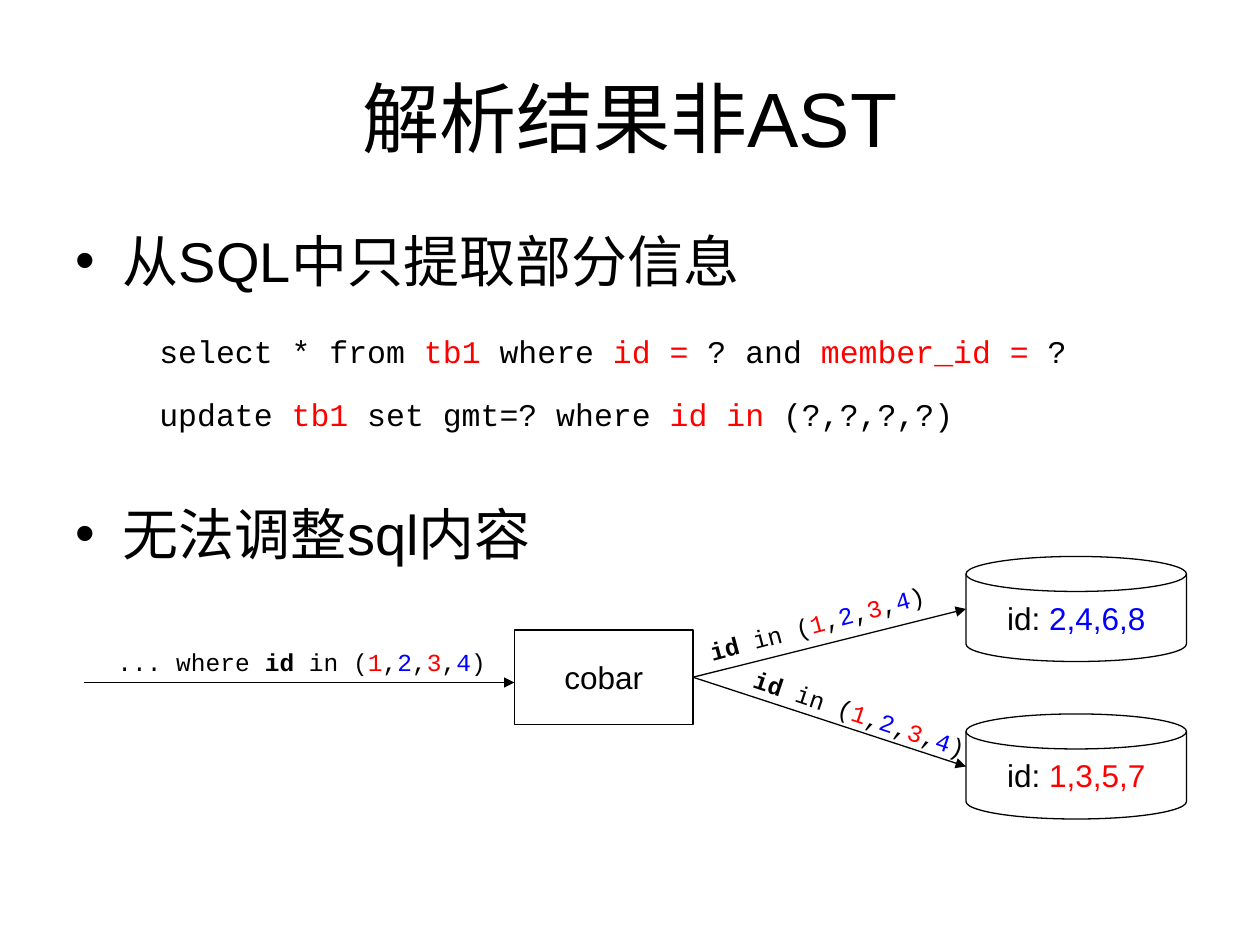
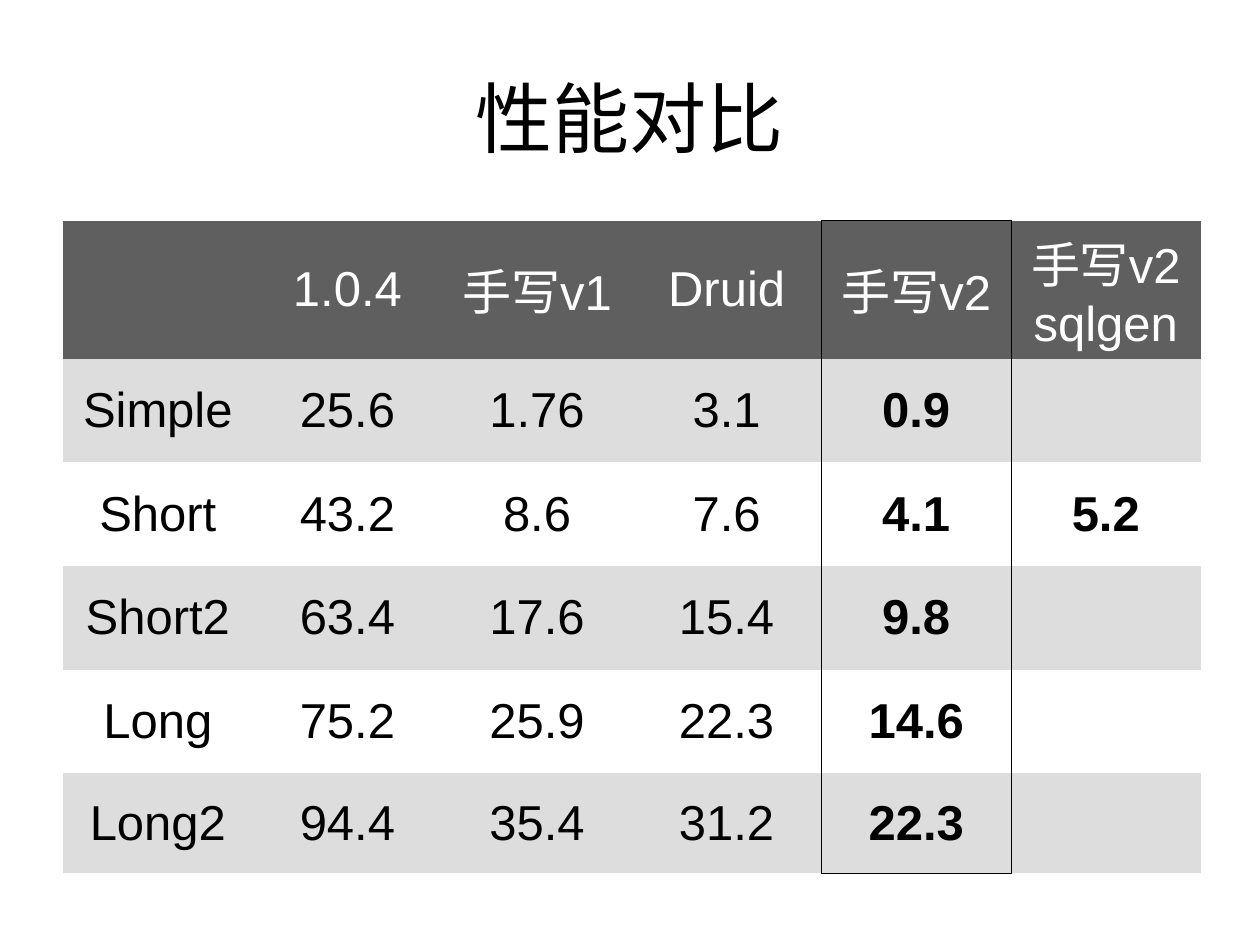
import pptx
import pptx.dml.color
import pptx.enum.shapes
import pptx.enum.text
import pptx.oxml
import pptx.oxml.ns
import pptx.util

COLOURS = {"ink": "000000", "odd": "FF0000", "even": "0000FF",
           "paper": "FFFFFF", "header": "5F5F5F", "band": "DDDDDD"}
SANS, MONO = "Arial", "Courier New"
NAMESPACE = pptx.oxml.ns.nsdecls("a")
SHAPES = pptx.enum.shapes.MSO_SHAPE
FIT = pptx.enum.text.MSO_AUTO_SIZE
MIDDLE = pptx.enum.text.MSO_ANCHOR.MIDDLE
CENTER = pptx.enum.text.PP_ALIGN.CENTER
INK = pptx.dml.color.RGBColor.from_string(COLOURS["ink"])


def grid(*cells):
    """Turn steps of a 120 x 90 slide grid into lengths."""
    return [pptx.util.Pt(6 * cell) for cell in cells]


def write(paragraph, runs, size, font=SANS):
    """Add runs given as (text, colour name, optional bold)."""
    for text, colour, *bold in runs:
        run = paragraph.add_run()
        run.text = text
        run.font.name = font
        run.font.size = pptx.util.Pt(size)
        run.font.bold = bool(bold and bold[0])
        run.font.color.rgb = pptx.dml.color.RGBColor.from_string(COLOURS[colour])


deck = pptx.Presentation()
deck.slide_width, deck.slide_height = grid(120, 90)
TWO_CONTENT, TITLE_ONLY = deck.slide_layouts[3], deck.slide_layouts[5]
parsing = deck.slides.add_slide(TWO_CONTENT)
performance = deck.slides.add_slide(TITLE_ONLY)

for slide, heading in [(parsing, "解析结果非AST"), (performance, "性能对比")]:
    title = slide.shapes.title
    title.left, title.top, title.width, title.height = grid(6, 3.6, 108, 15)
    title.text_frame.auto_size = FIT.NONE
    title.text_frame.vertical_anchor = MIDDLE
    title.text_frame.paragraphs[0].alignment = CENTER
    write(title.text_frame.paragraphs[0], [(heading, "ink")], 44)

# Slide 1: bullet points
for index, top, point in [(1, 21, "从SQL中只提取部分信息"), (2, 47, "无法调整sql内容")]:
    bullet = parsing.placeholders[index]
    bullet.left, bullet.top, bullet.width, bullet.height = grid(6, top, 108, 9)
    bullet.text_frame.auto_size = FIT.NONE
    bullet.text_frame.paragraphs[0].space_before = pptx.util.Pt(0)
    write(bullet.text_frame.paragraphs[0], [(point, "ink")], 32)

# Slide 1: database shards and router
nodes = [
    (SHAPES.FLOWCHART_MAGNETIC_DISK, (92, 53, 21, 10), [("id: ", "ink"), ("2,4,6,8", "even")]),
    (SHAPES.FLOWCHART_MAGNETIC_DISK, (92, 68, 21, 10), [("id: ", "ink"), ("1,3,5,7", "odd")]),
    (SHAPES.RECTANGLE, (49, 60, 17, 9), [("cobar", "ink")]),
]
for preset, place, label in nodes:
    node = parsing.shapes.add_shape(preset, *grid(*place))
    node.shadow.inherit = False
    node.fill.background()
    node.line.color.rgb = INK
    node.line.width = pptx.util.Pt(0.75)
    node.text_frame.word_wrap = False
    node.text_frame.vertical_anchor = MIDDLE
    node.text_frame.paragraphs[0].alignment = CENTER
    write(node.text_frame.paragraphs[0], label, 18)
router = node

# Slide 1: statements and the conditions that travel along the arrows
select = [("select * from ", "ink"), ("tb1", "odd"), (" where ", "ink"), ("id =", "odd"),
          (" ? and ", "ink"), ("member_id =", "odd"), (" ?", "ink")]
update = [("update ", "ink"), ("tb1", "odd"), (" set gmt=? where ", "ink"),
          ("id in ", "odd"), ("(?,?,?,?)", "ink")]
condition = [("id", "ink", True), (" in (", "ink")]
for number in range(1, 5):
    condition += [(str(number), "odd" if number % 2 else "even"),
                  ("," if number < 4 else ")", "ink")]
code_lines = [
    ((14, 31, 95, 4.8), 0, 18, select),
    ((14, 37, 95, 4.8), 0, 18, update),
    ((10, 61, 41, 4.05), 0, 14, [("... where ", "ink")] + condition),
    ((66, 56.5, 30, 4.05), -15, 14, condition),
    ((70, 67, 30, 4.05), 18.5, 14, condition),
]
for place, angle, size, runs in code_lines:
    code = parsing.shapes.add_textbox(*grid(*place))
    code.rotation = angle
    code.text_frame.word_wrap = True
    code.text_frame.auto_size = FIT.SHAPE_TO_FIT_TEXT
    write(code.text_frame.paragraphs[0], runs, size, MONO)

# Slide 1: arrows into the router and out to each shard
for start, end, leaves_router in [((8, 65), (49, 65), False),
                                  ((66, 64.5), (92, 58), True),
                                  ((66, 64.5), (92, 73), True)]:
    arrow = parsing.shapes.add_connector(
        pptx.enum.shapes.MSO_CONNECTOR.STRAIGHT, *grid(*start, *end))
    if leaves_router:
        arrow.begin_connect(router, 3)
    arrow.line.color.rgb = INK
    arrow.line.width = pptx.util.Pt(0.75)
    arrow.line._get_or_add_ln().append(
        pptx.oxml.parse_xml(f'<a:tailEnd {NAMESPACE} type="triangle"/>'))
    arrow._element.spPr.append(pptx.oxml.parse_xml(f"<a:effectLst {NAMESPACE}/>"))

# Slide 2: timings, with the hand-written v2 column outlined
timings = [
    ["", "1.0.4", "手写v1", "Druid", "手写v2", "手写v2\nsqlgen"],
    ["Simple", "25.6", "1.76", "3.1", "0.9", ""],
    ["Short", "43.2", "8.6", "7.6", "4.1", "5.2"],
    ["Short2", "63.4", "17.6", "15.4", "9.8", ""],
    ["Long", "75.2", "25.9", "22.3", "14.6", ""],
    ["Long2", "94.4", "35.4", "31.2", "22.3", ""],
]
OUTLINED = 4
LAST = len(timings) - 1
row_heights = grid(12.5, *[9.88] * 4, 9.5)
table = performance.shapes.add_table(
    len(timings), len(timings[0]), *grid(6, 21, 108.36), sum(row_heights)).table
for column in table.columns:
    column.width = grid(18.06)[0]
for row, (height, values) in enumerate(zip(row_heights, timings)):
    table.rows[row].height = height
    for col, value in enumerate(values):
        cell = table.cell(row, col)
        cell.vertical_anchor = MIDDLE
        drawn = {"L": col in (OUTLINED, OUTLINED + 1),
                 "R": col in (OUTLINED - 1, OUTLINED),
                 "T": col == OUTLINED and row == 0,
                 "B": col == OUTLINED and row == LAST}
        for side, visible in drawn.items():
            stroke = (f'<a:solidFill><a:srgbClr val="{COLOURS["ink"]}"/></a:solidFill>'
                      if visible else "<a:noFill/>")
            cell._tc.get_or_add_tcPr().append(pptx.oxml.parse_xml(
                f'<a:ln{side} {NAMESPACE} w="5715">{stroke}</a:ln{side}>'))
        fill = "header" if row == 0 else "band" if row % 2 else "paper"
        cell.fill.solid()
        cell.fill.fore_color.rgb = pptx.dml.color.RGBColor.from_string(COLOURS[fill])
        paragraph = cell.text_frame.paragraphs[0]
        paragraph.alignment = CENTER
        if not value:
            continue
        colour = "paper" if row == 0 else "ink"
        for number, line in enumerate(value.split("\n")):
            if number:
                paragraph.add_line_break()
            write(paragraph, [(line, colour, row > 0 and col >= OUTLINED)], 28)

deck.save("out.pptx")
